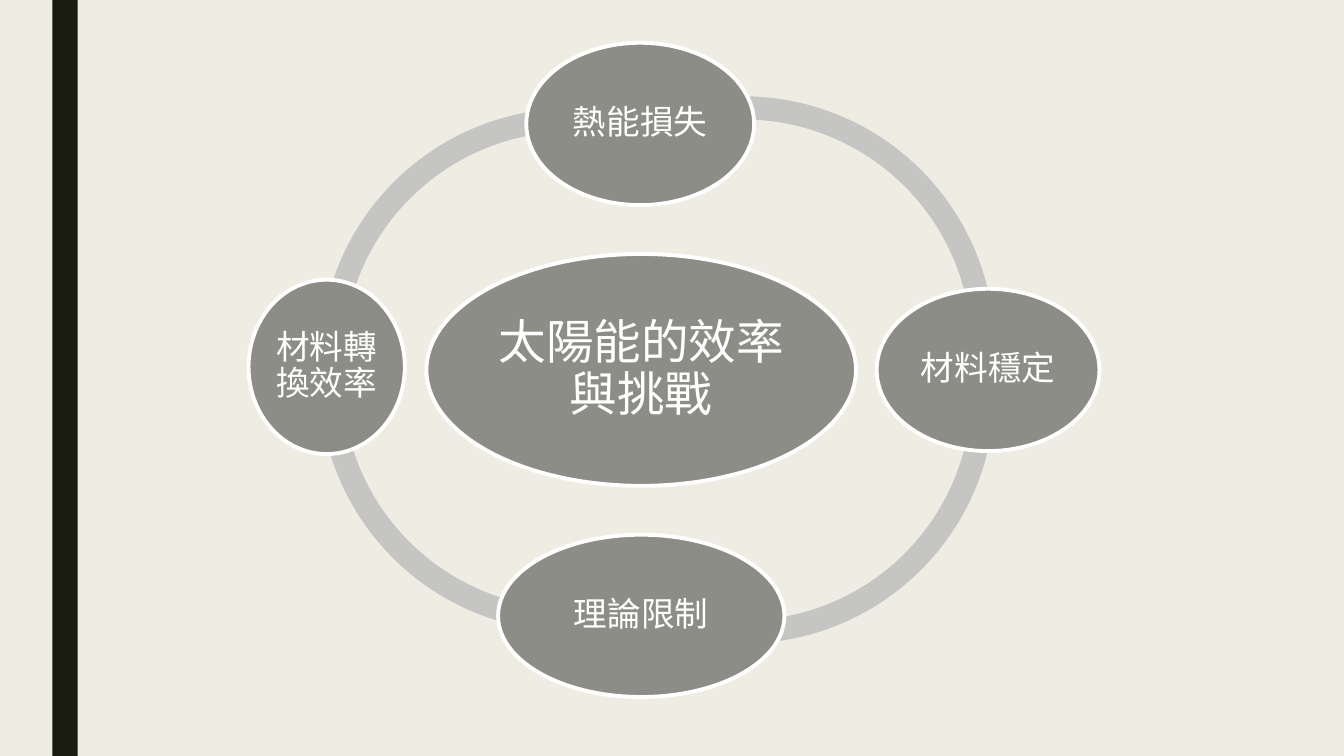
from dataclasses import dataclass

from pptx import Presentation
from pptx.dml.color import RGBColor as RGB
from pptx.enum.shapes import MSO_SHAPE as Kind
from pptx.enum.text import MSO_ANCHOR as Anchor, PP_ALIGN as Align
from pptx.util import Inches, Pt


@dataclass(frozen=True)
class Theme:
    back: RGB = RGB.from_string("EFEDE3")
    bar: RGB = RGB.from_string("191B0E")
    arc: RGB = RGB.from_string("C5C5C3")
    node: RGB = RGB.from_string("8C8D86")
    white: RGB = RGB.from_string("FFFFFF")
    font: str = "Karla"
    cjk: str = "Noto Sans CJK SC"
    big: int = 34
    small: int = 24
    edge: float = 2.75


THEME = Theme()
ARC = 4.99  # diameter of each ring arc
BAND = 0.046  # ring thickness as a share of the diameter

# Arc centre from the hub centre, then start and end angle in degrees
ARCS = [
    (-0.69, -0.1, 178.32, 286.3),
    (-0.7, 0.1, 73.65, 182.95),
    (1.01, 0.22, 354.75, 114.48),
    (1.01, -0.22, 245.54, 5.06),
]

# Node centre from the hub centre, size, text, type size, inset, font
NODES = [
    (0, 0, 4.26, 2.3, "太陽能的效率與挑戰", THEME.big, 0.05, THEME.font),
    (-0.01, -2.44, 2.26, 1.61, "熱能損失", THEME.small, 0.03, THEME.font),
    (3.44, 0, 2.21, 1.61, "材料穩定", THEME.small, 0.03, THEME.font),
    (0, 2.44, 2.84, 1.61, "理論限制", THEME.small, 0.03, THEME.cjk),
    (-3.12, -0.03, 1.55, 1.73, "材料轉換效率", THEME.small, 0.03, THEME.font),
]


def style(part, **values):
    for key, value in values.items():
        setattr(part, key, value)


def add_form(slide, kind, box, fill):
    form = slide.shapes.add_shape(kind, *map(Inches, box))
    form.shadow.inherit = False
    form.fill.solid()
    form.fill.fore_color.rgb = fill
    form.line.fill.background()
    return form


def centred(x, y, wide, high):
    return x - wide / 2, y - high / 2, wide, high


def add_node(slide, box, text, size, inset, font):
    node = add_form(slide, Kind.OVAL, box, THEME.node)
    node.line.color.rgb = THEME.white
    node.line.width = Pt(THEME.edge)
    frame = node.text_frame
    pad = Inches(inset)
    style(frame, word_wrap=True, vertical_anchor=Anchor.MIDDLE,
          margin_left=pad, margin_right=pad, margin_top=pad, margin_bottom=pad)
    para = frame.paragraphs[0]
    style(para, alignment=Align.CENTER, line_spacing=0.9)
    run = para.add_run()
    run.text = text
    style(run.font, size=Pt(size), name=font)
    run.font.color.rgb = THEME.white


def add_cycle(slide, box):
    left, top, wide, high = box
    mid_x, mid_y = left + wide / 2, top + high / 2
    # Ring behind the nodes
    for x, y, start, end in ARCS:
        arc = add_form(slide, Kind.BLOCK_ARC,
                       centred(mid_x + x, mid_y + y, ARC, ARC), THEME.arc)
        # Angles are held in 60000ths of a degree, scaled by 100000
        for i, value in enumerate((start * 0.6, end * 0.6, BAND)):
            arc.adjustments[i] = value
    # Hub and outer nodes
    for x, y, w, h, *label in NODES:
        add_node(slide, centred(mid_x + x, mid_y + y, w, h), *label)


def add_frame(slide, box):
    # Background and side bar
    left, top, _, high = box
    slide.background.fill.solid()
    slide.background.fill.fore_color.rgb = THEME.back
    add_form(slide, Kind.RECTANGLE, (left + 0.52, top, 0.25, high), THEME.bar)


def main():
    deck = Presentation()
    style(deck, slide_width=Inches(13.33), slide_height=Inches(7.5))
    slide = deck.slides.add_slide(deck.slide_layouts[6])
    add_frame(slide, (0, 0, 13.33, 7.5))
    add_cycle(slide, (2.16, 0.42, 8.4, 6.5))
    deck.save("out.pptx")


if __name__ == "__main__":
    main()
